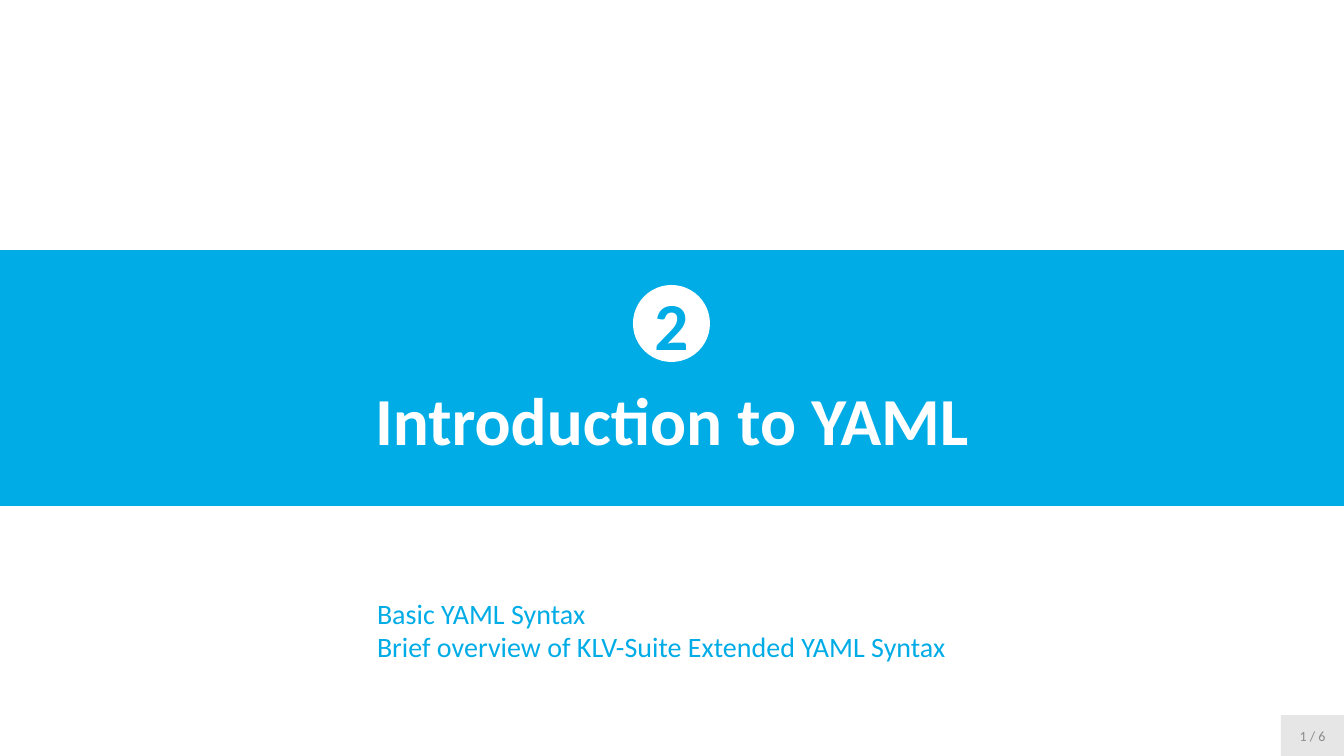
from lxml import etree
from pptx import Presentation
from pptx.dml.color import RGBColor
from pptx.enum.shapes import MSO_SHAPE
from pptx.enum.text import MSO_ANCHOR, MSO_AUTO_SIZE, PP_ALIGN
from pptx.oxml.ns import qn
from pptx.util import Pt

RECTANGLE, OVAL = MSO_SHAPE.RECTANGLE, MSO_SHAPE.OVAL
TOP, MIDDLE = MSO_ANCHOR.TOP, MSO_ANCHOR.MIDDLE
LEFT, CENTER = PP_ALIGN.LEFT, PP_ALIGN.CENTER
NO_FIT = MSO_AUTO_SIZE.NONE

PIXEL = 914400 / 100.8
WIDTH, HEIGHT = 1344, 756
COLORS = {"blue": "00ACE6", "white": "FFFFFF", "light": "E7E6E6", "gray": "8C8C8C"}


def emu(pixels):
    return round(pixels * PIXEL)


def color(name):
    return RGBColor.from_string(COLORS[name])


def place(shape, box):
    for name, value in zip(("left", "top", "width", "height"), box):
        setattr(shape, name, emu(value))


def fill(shape, name):
    shape.fill.solid()
    shape.fill.fore_color.rgb = color(name)
    shape.line.fill.background()


def write(shape, lines, size, ink, bold=False, align=CENTER, anchor=MIDDLE, margins=(0, 0, 0, 0)):
    frame = shape.text_frame
    frame.text = "\n".join(lines)
    left, top, right, bottom = map(emu, margins)
    frame_format = {
        "word_wrap": True, "auto_size": NO_FIT, "vertical_anchor": anchor,
        "margin_left": left, "margin_top": top, "margin_right": right, "margin_bottom": bottom,
    }
    for name, value in frame_format.items():
        setattr(frame, name, value)
    paragraph_format = {"alignment": align, "space_before": Pt(0), "space_after": Pt(0)}
    font_format = {"name": "Calibri", "size": Pt(size), "bold": bold}
    for paragraph in frame.paragraphs:
        for name, value in paragraph_format.items():
            setattr(paragraph, name, value)
        for run in paragraph.runs:
            for name, value in font_format.items():
                setattr(run.font, name, value)
            run.font.color.rgb = color(ink)


def add_label(slide, kind, box, background, text, **text_format):
    shape = slide.shapes.add_shape(kind, *map(emu, box))
    shape.shadow.inherit = False
    fill(shape, background)
    write(shape, [text], **text_format)


def add_title_band(slide, box, number, title):
    left, top, width, height = box
    band = slide.shapes.title
    place(band, box)
    fill(band, "blue")
    write(band, [title], 48, "white", bold=True, anchor=TOP, margins=(0, height // 2, 0, 0))
    diameter = 77
    circle = (left + (width - diameter) // 2, top + 35, diameter, diameter)
    add_label(slide, OVAL, circle, "white", number, size=48, ink="blue", bold=True)


def add_topics(slide, box, topics):
    body = slide.placeholders[1]
    place(body, box)
    write(body, topics, 20, "blue", align=LEFT, anchor=TOP, margins=(60, 5, 10, 5))
    for paragraph in body.text_frame.paragraphs:
        properties = paragraph._p.get_or_add_pPr()
        properties.set("marL", "0")
        properties.set("indent", "0")
        etree.SubElement(properties, qn("a:buNone"))


def add_page_number(slide, box, text):
    add_label(slide, RECTANGLE, box, "light", text, size=10, ink="gray")


def build_section_slide(presentation):
    slide = presentation.slides.add_slide(presentation.slide_layouts[1])
    add_title_band(slide, (0, 250, WIDTH, 256), "2", "Introduction to YAML")
    add_topics(slide, (317, 591, 672, 78), [
        "Basic YAML Syntax",
        "Brief overview of KLV-Suite Extended YAML Syntax",
    ])
    add_page_number(slide, (WIDTH - 63, HEIGHT - 41, 63, 41), "1 / 6")


presentation = Presentation()
presentation.slide_width = emu(WIDTH)
presentation.slide_height = emu(HEIGHT)
build_section_slide(presentation)
presentation.save("out.pptx")
